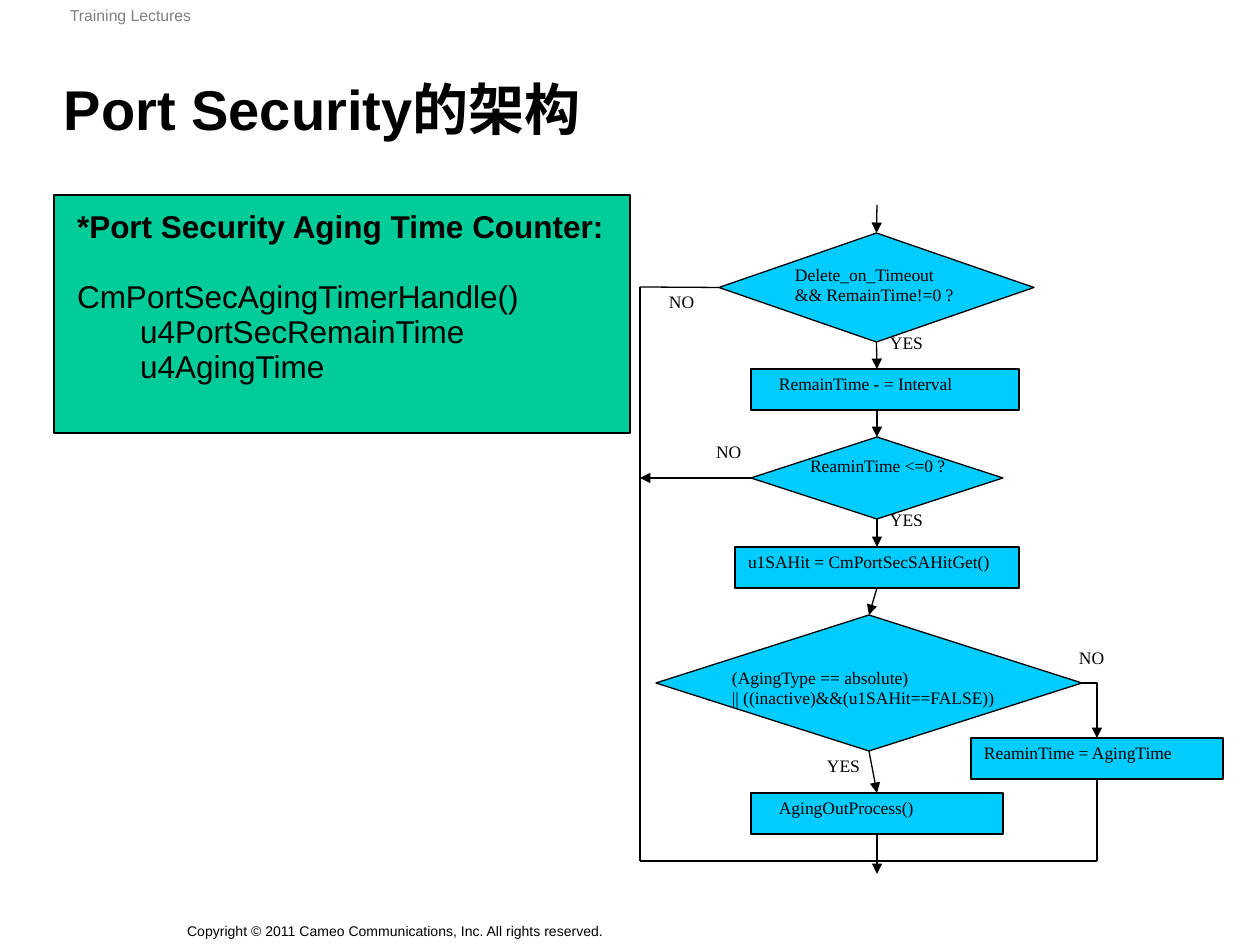
from pptx import Presentation
from pptx.dml.color import RGBColor
from pptx.enum.shapes import MSO_CONNECTOR, MSO_SHAPE
from pptx.enum.text import MSO_ANCHOR, MSO_AUTO_SIZE, PP_ALIGN
from pptx.oxml.ns import qn
from pptx.util import Pt
from lxml.etree import SubElement

PX = 914400 / 126  # EMU per px


def px(*values):
    return [round(v * PX) for v in values]


def write(sp, lines, size, font="Times New Roman", color="000000", bold=False,
          align=PP_ALIGN.JUSTIFY, anchor=MSO_ANCHOR.TOP, insets=(13, 6, 13, 6),
          spacing=0.93, wrap=True):
    tf = sp.text_frame
    sides = ("margin_left", "margin_top", "margin_right", "margin_bottom")
    settings = dict(zip(sides, px(*insets)), auto_size=MSO_AUTO_SIZE.NONE,
                    word_wrap=wrap, vertical_anchor=anchor)
    for name, value in settings.items():
        setattr(tf, name, value)
    for i, line in enumerate(lines):
        p = tf.paragraphs[0] if i == 0 else tf.add_paragraph()
        p.alignment, p.line_spacing, p.space_before = align, spacing, Pt(0)
        r = p.add_run()
        r.text = line
        for name, value in {"size": Pt(size), "name": font, "bold": bold}.items():
            setattr(r.font, name, value)
        r.font.color.rgb = RGBColor.from_string(color)
    return tf


prs = Presentation()
prs.slide_width, prs.slide_height = px(1260, 945)
s = prs.slides.add_slide(prs.slide_layouts[1])
title, body = s.placeholders

# Title
title.left, title.top, title.width, title.height = px(53, 35, 1174, 113)
write(title, ["Port Security的架构"], 32, "Arial", bold=True, align=PP_ALIGN.LEFT,
      anchor=MSO_ANCHOR.BOTTOM, insets=(11, 5, 11, 5))

# Green panel with the function list
body.left, body.top, body.width, body.height = px(54, 195, 576, 238)
body.fill.solid()
body.fill.fore_color.rgb = RGBColor.from_string("00CC99")
body.line.color.rgb = RGBColor.from_string("000000")
body.line.width = Pt(0.75)
tf = write(body, ["*Port Security Aging Time Counter:", "CmPortSecAgingTimerHandle()",
                  "u4PortSecRemainTime", "u4AgingTime"], 18, "Arial",
           align=PP_ALIGN.LEFT, insets=(23, 15, 23, 6))
tf.paragraphs[0].runs[0].font.bold = True
tf.paragraphs[1].space_before = Pt(20)
for p, indent in zip(tf.paragraphs, (0, 0, 63, 63)):
    pPr = p._p.get_or_add_pPr()
    pPr.set("marL", str(px(indent)[0]))
    pPr.set("indent", "0")
    SubElement(pPr, qn("a:buNone"))

# Header and copyright line
for text, box, size, color, wrap in [
    ("Training Lectures", (0, 0, 261, 30), 9, "808080", True),
    ("Copyright © 2011 Cameo Communications, Inc. All rights reserved.",
     (175, 916, 441, 28), 8, "000000", False),
]:
    sp = s.shapes.add_textbox(*px(*box))
    write(sp, [text], size, "Arial", color, align=PP_ALIGN.CENTER, spacing=1.0,
          anchor=MSO_ANCHOR.BOTTOM, insets=(11, 5, 11, 5), wrap=wrap)

# Flowchart steps: name, box, text, left inset (decisions are labelled below)
steps = {}
for name, box, text, inset in [
    ("timeout?", (719, 233, 315, 109), None, 0),
    ("subtract", (751, 369, 268, 41), "RemainTime - = Interval", 28),
    ("expired?", (751, 437, 252, 82), None, 0),
    ("get hit", (735, 547, 284, 41), "u1SAHit = CmPortSecSAHitGet()", 13),
    ("type?", (656, 615, 426, 136), None, 0),
    ("age out", (751, 793, 252, 41), "AgingOutProcess()", 28),
    ("reset", (971, 738, 252, 41), "ReaminTime = AgingTime", 13),
]:
    kind = MSO_SHAPE.FLOWCHART_PROCESS if text else MSO_SHAPE.FLOWCHART_DECISION
    sp = steps[name] = s.shapes.add_shape(kind, *px(*box))
    sp.shadow.inherit = False
    sp.fill.solid()
    sp.fill.fore_color.rgb = RGBColor.from_string("00CCFF")
    sp.line.color.rgb = RGBColor.from_string("000000")
    sp.line.width = Pt(0.75)
    if text:
        write(sp, [text], 10, insets=(inset, 6, 13, 6))

# Flow lines: each end is a point or a step with its side
TOP, LEFT, BOTTOM, RIGHT = range(4)
for start, end, arrow in [
    ((877, 205), ("timeout?", TOP), True),
    (("timeout?", BOTTOM), (877, 369), True),
    ((877, 410), ("expired?", TOP), True),
    (("expired?", BOTTOM), ("get hit", TOP), True),
    (("get hit", BOTTOM), ("type?", TOP), True),
    (("type?", BOTTOM), ("age out", TOP), True),
    (("type?", RIGHT), ("reset", TOP), True),
    (("age out", BOTTOM), (877, 874), True),
    (("reset", BOTTOM), (1097, 861), False),
    ((1097, 861), (877, 861), False),
    (("timeout?", LEFT), (640, 287), False),
    ((640, 287), (640, 861), False),
    ((640, 861), (877, 861), False),
    (("expired?", LEFT), (640, 478), True),
]:
    bent = start == ("type?", RIGHT)
    kind = MSO_CONNECTOR.ELBOW if bent else MSO_CONNECTOR.STRAIGHT
    a = (0, 0) if start[0] in steps else start
    b = (0, 0) if end[0] in steps else end
    c = s.shapes.add_connector(kind, *px(*a, *b))
    if start[0] in steps:
        c.begin_connect(steps[start[0]], start[1])
    if end[0] in steps:
        c.end_connect(steps[end[0]], end[1])
    c.line.color.rgb = RGBColor.from_string("000000")
    c.line.width = Pt(0.75)
    spPr = c._element.spPr
    if bent:
        spPr.find(qn("a:prstGeom")).set("prst", "bentConnector2")
    if arrow:
        SubElement(spPr.find(qn("a:ln")), qn("a:tailEnd"), type="triangle")
    SubElement(spPr, qn("a:effectLst"))

# Decision texts and branch labels
BRANCH = (95, 54)
for lines, corner, size in [
    (["Delete_on_Timeout", "&& RemainTime!=0 ?"], (782, 260), (205, 68)),
    (["ReaminTime <=0 ?"], (797, 451), (173, 41)),
    (["(AgingType == absolute)", "|| ((inactive)&&(u1SAHit==FALSE))"],
     (719, 663), (315, 62)),
    (["YES"], (877, 328), BRANCH),
    (["YES"], (877, 505), BRANCH),
    (["YES"], (814, 751), BRANCH),
    (["NO"], (656, 287), BRANCH),
    (["NO"], (703, 437), BRANCH),
    (["NO"], (1066, 643), BRANCH),
]:
    write(s.shapes.add_textbox(*px(*corner, *size)), lines, 10)

prs.save("out.pptx")
